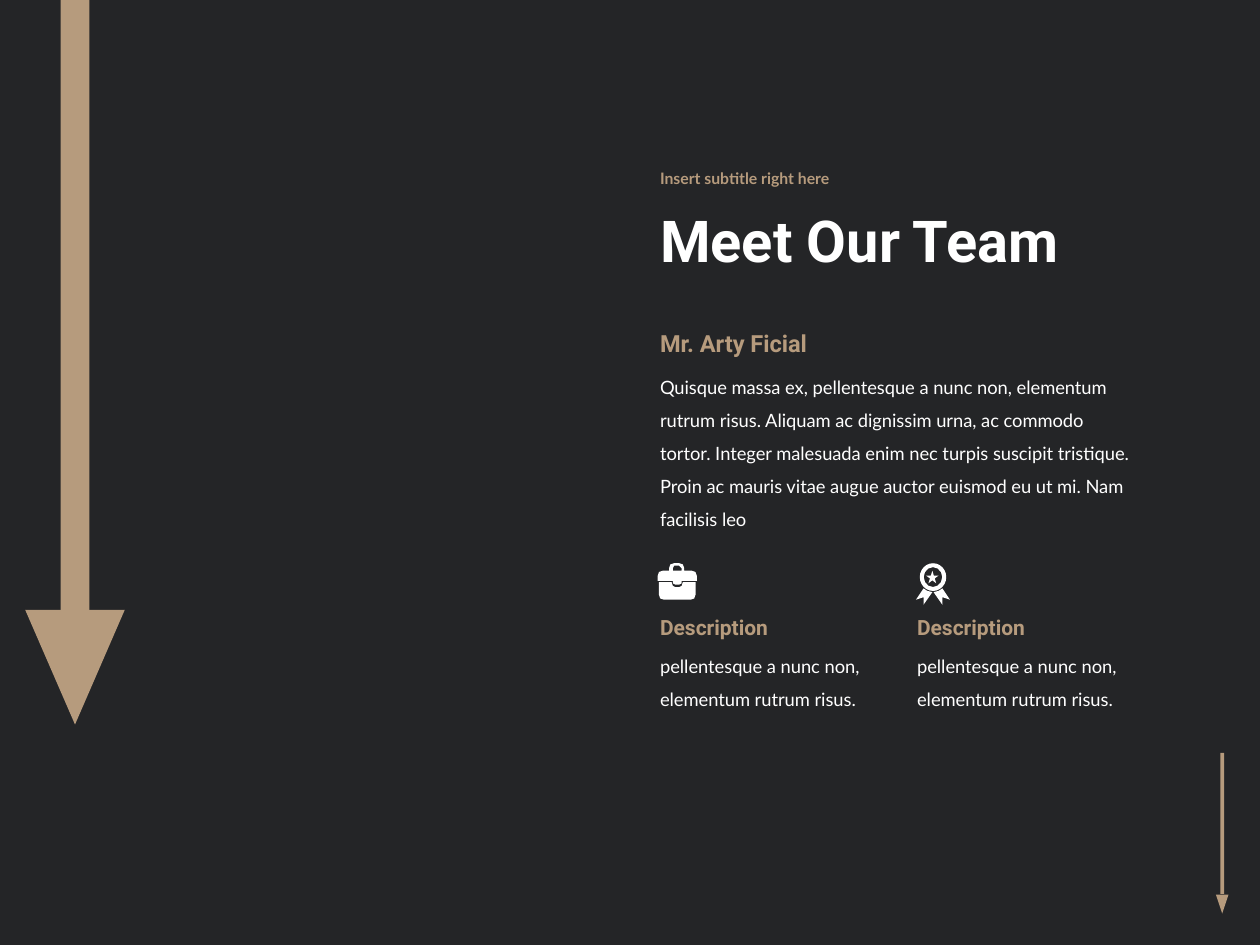
"""Build a dark team slide with a profile, two described icons and two arrows."""
from dataclasses import dataclass

from pptx import Presentation
from pptx.dml.color import RGBColor
from pptx.enum import shapes, text
from pptx.util import Inches, Pt

COLORS = {"background": "242527", "accent": "B69B7D", "light": "FFFFFF"}
Box = tuple[float, float, float, float]
Points = list[tuple[float, float]]


@dataclass(frozen=True)
class TextStyle:
    font: str
    size: float
    color: str
    bold: bool = False
    line_spacing: float = 1.0
    space_before: float = 0


@dataclass(frozen=True)
class Arrow:
    bar: Box
    head: Box


TITLE = TextStyle("Roboto", 33, "light", True, 0.9)
SUBTITLE = TextStyle("Lato", 9, "accent", True, 0.9, 10)
NAME = TextStyle("Roboto", 13.5, "accent", True)
HEADING = TextStyle("Roboto", 12, "accent", True)
BODY = TextStyle("Lato", 10.5, "light", line_spacing=1.5)

ARROWS = [
    Arrow((9.14, 6.52, 1.12, 0.03), (9.65, 7.1, 0.1, 0.15)),
    Arrow((-1.93, 2.2, 5.05, 0.23), (0.2, 4.84, 0.79, 0.91)),
]
LEFT = 5.14
COLUMNS = [LEFT, 7.18]
PROFILE = (
    "Quisque massa ex, pellentesque a nunc non, elementum rutrum risus. "
    "Aliquam ac dignissim urna, ac commodo tortor. Integer malesuada enim nec "
    "turpis suscipit tristique. Proin ac mauris vitae augue auctor euismod eu "
    "ut mi. Nam facilisis leo"
)

CASE_BASE: Points = [
    (5.23, 4.62), (5.33, 4.62), (5.34, 4.65), (5.36, 4.66), (5.39, 4.66),
    (5.41, 4.65), (5.42, 4.62), (5.52, 4.62), (5.52, 4.72), (5.51, 4.75),
    (5.48, 4.76), (5.27, 4.76), (5.24, 4.75), (5.23, 4.72),
]
CASE_LID: Points = [
    (5.22, 4.61), (5.22, 4.57), (5.23, 4.54), (5.26, 4.53), (5.31, 4.53),
    (5.31, 4.51), (5.32, 4.48), (5.35, 4.47), (5.39, 4.47), (5.42, 4.48),
    (5.43, 4.51), (5.43, 4.53), (5.49, 4.53), (5.52, 4.54), (5.53, 4.57),
    (5.53, 4.61), (5.41, 4.61), (5.41, 4.63), (5.39, 4.64), (5.36, 4.64),
    (5.34, 4.63), (5.34, 4.61),
]
CASE_HANDLE: Points = [
    (5.34, 4.53), (5.34, 4.51), (5.35, 4.49), (5.39, 4.49), (5.41, 4.51), (5.41, 4.53),
]
LEFT_RIBBON: Points = [(7.33, 4.67), (7.36, 4.69), (7.4, 4.7), (7.33, 4.8), (7.33, 4.74), (7.27, 4.76)]
RIBBON_AXIS = 7.405


def color(name: str) -> RGBColor:
    return RGBColor.from_string(COLORS[name])


def paint(shape, name: str) -> None:
    shape.fill.solid()
    shape.fill.fore_color.rgb = color(name)
    shape.line.fill.background()
    shape.shadow.inherit = False


def place(shape, box: Box) -> None:
    shape.left, shape.top, shape.width, shape.height = map(Inches, box)


def write(shape, words: str, style: TextStyle, anchor, fit) -> None:
    frame = shape.text_frame
    frame.text = words
    frame.word_wrap = True
    frame.auto_size = fit
    frame.vertical_anchor = anchor
    paragraph = frame.paragraphs[0]
    paragraph.alignment = text.PP_ALIGN.LEFT
    paragraph.line_spacing = style.line_spacing
    paragraph.space_before = Pt(style.space_before)
    paragraph.font.name = style.font
    paragraph.font.size = Pt(style.size)
    paragraph.font.bold = style.bold
    paragraph.font.color.rgb = color(style.color)


def add_text(slide, box: Box, words: str, style: TextStyle,
             anchor=text.MSO_ANCHOR.TOP, fit=text.MSO_AUTO_SIZE.SHAPE_TO_FIT_TEXT) -> None:
    shape = slide.shapes.add_textbox(*map(Inches, box))
    write(shape, words, style, anchor, fit)


def add_preset(group, kind, box: Box, name: str, rotation: float = 0):
    shape = group.shapes.add_shape(kind, *map(Inches, box))
    shape.rotation = rotation
    paint(shape, name)
    return shape


def add_outline(group, *contours: Points) -> None:
    scaled = [[(Inches(x), Inches(y)) for x, y in contour] for contour in contours]
    builder = group.shapes.build_freeform(*scaled[0][0])
    builder.add_line_segments(scaled[0][1:])
    for contour in scaled[1:]:
        builder.move_to(*contour[0])
        builder.add_line_segments(contour[1:])
    paint(builder.convert_to_shape(), "light")


def add_arrow(slide, arrow: Arrow) -> None:
    group = slide.shapes.add_group_shape()
    add_preset(group, shapes.MSO_SHAPE.RECTANGLE, arrow.bar, "accent", 90)
    add_preset(group, shapes.MSO_SHAPE.ISOSCELES_TRIANGLE, arrow.head, "accent", 180)


def add_briefcase(slide) -> None:
    group = slide.shapes.add_group_shape()
    add_outline(group, CASE_BASE)
    add_outline(group, CASE_LID, CASE_HANDLE)


def add_medal(slide) -> None:
    group = slide.shapes.add_group_shape()
    ring = add_preset(group, shapes.MSO_SHAPE.DONUT, (7.3, 4.47, 0.21, 0.22), "light")
    ring.adjustments[0] = 0.15
    add_outline(group, LEFT_RIBBON)
    add_outline(group, [(2 * RIBBON_AXIS - x, y) for x, y in LEFT_RIBBON])
    add_preset(group, shapes.MSO_SHAPE.STAR_5_POINT, (7.35, 4.53, 0.1, 0.1), "light")


def main() -> None:
    presentation = Presentation()
    presentation.slide_width, presentation.slide_height = Inches(10), Inches(7.5)
    slide = presentation.slides.add_slide(presentation.slide_layouts[5])
    slide.background.fill.solid()
    slide.background.fill.fore_color.rgb = color("background")

    middle, fixed = text.MSO_ANCHOR.MIDDLE, text.MSO_AUTO_SIZE.NONE
    title = slide.shapes.title
    place(title, (LEFT, 1.42, 5.63, 1.03))
    write(title, "Meet Our Team", TITLE, middle, fixed)
    add_text(slide, (LEFT, 1.23, 5.63, 0.38), "Insert subtitle right here", SUBTITLE, middle, fixed)

    for arrow in ARROWS:
        add_arrow(slide, arrow)

    add_text(slide, (LEFT, 2.85, 4, 1.13), PROFILE, BODY)
    add_text(slide, (LEFT, 2.56, 2.19, 0.33), "Mr. Arty Ficial", NAME)
    for left in COLUMNS:
        add_text(slide, (left, 5.06, 1.89, 0.6), "pellentesque a nunc non, elementum rutrum risus.", BODY)
        add_text(slide, (left, 4.83, 1.5, 0.3), "Description", HEADING)

    add_briefcase(slide)
    add_medal(slide)
    presentation.save("out.pptx")


if __name__ == "__main__":
    main()
